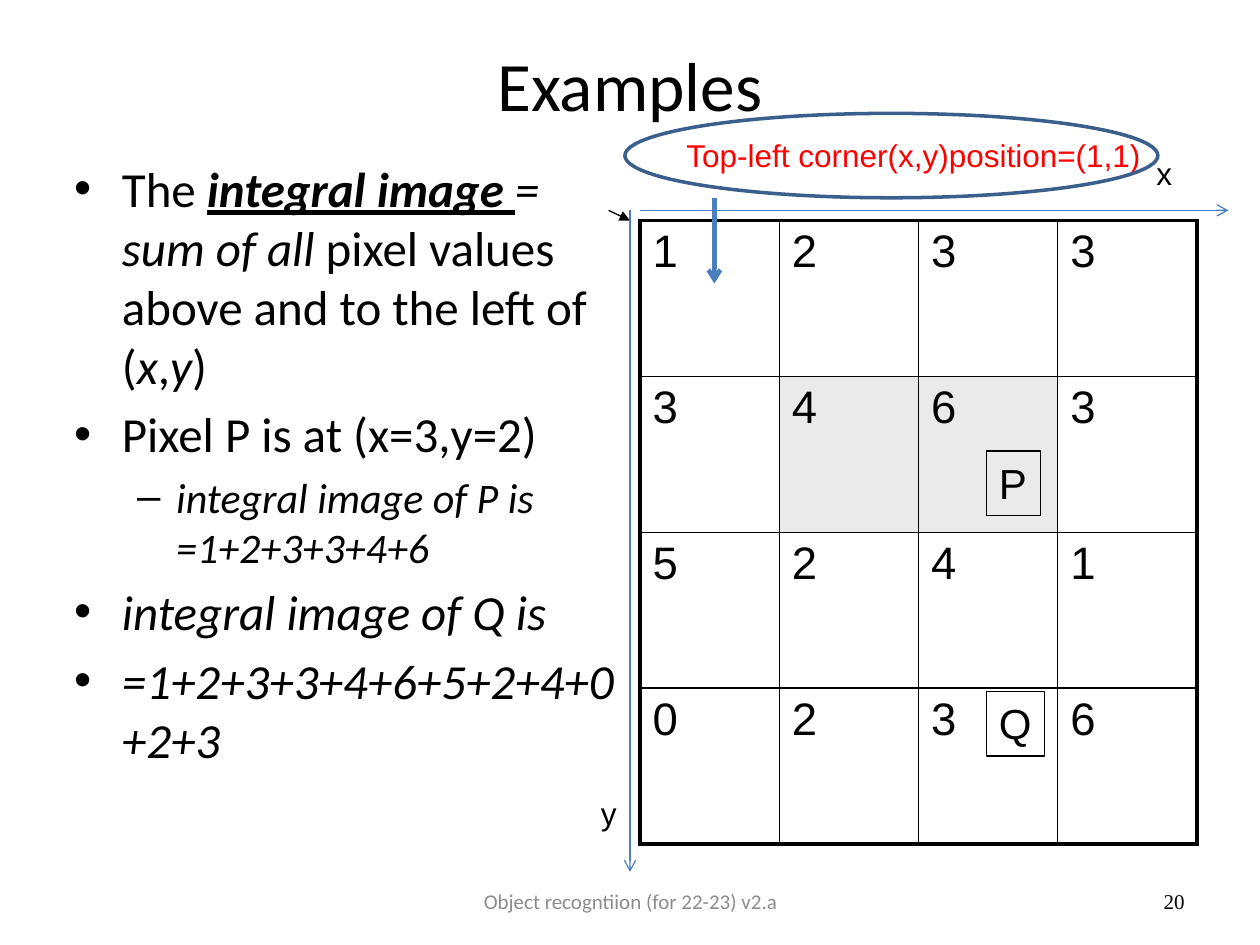
from dataclasses import dataclass, field

from pptx import Presentation
from pptx.dml.color import RGBColor
from pptx.enum.shapes import MSO_CONNECTOR, MSO_SHAPE
from pptx.enum.text import MSO_ANCHOR, PP_ALIGN
from pptx.oxml.ns import qn
from pptx.oxml.xmlchemy import OxmlElement
from pptx.util import Inches, Pt

BLACK, BLUE, GRAY = "000000", "4B7EBC", "EAEAEA"


@dataclass
class Label:
    text: str
    box: tuple
    size: float
    font: str = "Arial"
    color: str = BLACK
    align: PP_ALIGN = PP_ALIGN.LEFT
    anchor: MSO_ANCHOR = MSO_ANCHOR.TOP
    wrap: bool = False
    edge: bool = False


@dataclass
class Arrow:
    start: tuple
    end: tuple
    color: str = BLUE
    width: float = 0.75
    head: str = "arrow"


@dataclass
class Item:
    runs: list
    size: int = 28
    left: float = 0.38
    hang: float = 0.38
    mark: str = "•"
    level: int = 0


@dataclass
class Piece:
    text: str
    look: dict = field(default_factory=dict)


def rgb(code: str) -> RGBColor:
    return RGBColor.from_string(code)


def node(parent, tag: str, **attrs):
    """Append a child element with the given attributes."""
    child = OxmlElement(tag)
    for key, val in attrs.items():
        child.set(key, str(val))
    parent.append(child)
    return child


def style(run, size: float, name: str, color: str = BLACK, **look) -> None:
    for key, val in {"size": Pt(size), "name": name, **look}.items():
        setattr(run.font, key, val)
    run.font.color.rgb = rgb(color)


def add_label(slide, label: Label) -> None:
    box = slide.shapes.add_textbox(*map(Inches, label.box))
    frame = box.text_frame
    frame.word_wrap = label.wrap
    frame.vertical_anchor = label.anchor
    para = frame.paragraphs[0]
    para.alignment = label.align
    run = para.add_run()
    run.text = label.text
    style(run, label.size, label.font, label.color)
    if label.edge:
        box.line.color.rgb = rgb(BLACK)
        box.line.width = Pt(0.75)


def add_arrow(slide, arrow: Arrow) -> None:
    ends = map(Inches, arrow.start + arrow.end)
    line = slide.shapes.add_connector(MSO_CONNECTOR.STRAIGHT, *ends)
    line.line.color.rgb = rgb(arrow.color)
    line.line.width = Pt(arrow.width)
    props = line.element.spPr
    node(props.find(qn("a:ln")), "a:tailEnd", type=arrow.head)
    node(props, "a:effectLst")


def add_list(slide, box: tuple, items: list[Item]) -> None:
    frame = slide.shapes.add_textbox(*map(Inches, box)).text_frame
    frame.word_wrap = True
    for i, item in enumerate(items):
        para = frame.add_paragraph() if i else frame.paragraphs[0]
        para.level = item.level
        para.space_before = Pt(0.2 * item.size)
        props = para._p.get_or_add_pPr()
        props.set("marL", str(Inches(item.left)))
        props.set("indent", str(-Inches(item.hang)))
        node(props, "a:buFont", typeface="Arial")
        node(props, "a:buChar", char=item.mark)
        for piece in item.runs:
            run = para.add_run()
            run.text = piece.text
            style(run, item.size, "Calibri", **piece.look)


def add_edge(cell, side: str, width: float) -> None:
    line = node(cell._tc.get_or_add_tcPr(), f"a:ln{side}", w=Pt(width))
    node(node(line, "a:solidFill"), "a:srgbClr", val=BLACK)


def add_grid(slide, box: tuple, rows: list, shaded: set) -> None:
    high, wide = len(rows), len(rows[0])
    table = slide.shapes.add_table(high, wide, *map(Inches, box)).table
    table.first_row = table.horz_banding = False
    for r, row in enumerate(rows):
        for c, value in enumerate(row):
            cell = table.cell(r, c)
            outer = {"L": c == 0, "R": c == wide - 1,
                     "T": r == 0, "B": r == high - 1}
            for side, thick in outer.items():
                add_edge(cell, side, 2.25 if thick else 1)
            if (r, c) in shaded:
                cell.fill.solid()
                cell.fill.fore_color.rgb = rgb(GRAY)
            else:
                cell.fill.background()
            para = cell.text_frame.paragraphs[0]
            para.space_before = Pt(0.2 * 26)
            run = para.add_run()
            run.text = str(value)
            style(run, 26, "Arial")


ITALIC = {"italic": True}
ITEMS = [
    Item([Piece("The "),
          Piece("integral image ", {"bold": True, "italic": True, "underline": True}),
          Piece("= sum of all ", ITALIC),
          Piece("pixel values above and to the left of ("),
          Piece("x", ITALIC), Piece(","), Piece("y", ITALIC), Piece(")")]),
    Item([Piece("Pixel P is at (x=3,y=2)")]),
    Item([Piece("integral image of P is =1+2+3+3+4+6", ITALIC)],
         size=24, left=0.81, hang=0.31, mark="–", level=1),
    Item([Piece("integral image of Q is", ITALIC)]),
    Item([Piece("=1+2+3+3+4+6+5+2+4+0+2+3", ITALIC)]),
]
PIXELS = [[1, 2, 3, 3], [3, 4, 6, 3], [5, 2, 4, 1], [0, 2, 3, 6]]
MID = {"anchor": MSO_ANCHOR.MIDDLE, "wrap": True}
FRAME = [
    Label("Examples", (0.5, 0.3, 9, 0.73), 39.6, "Calibri",
          align=PP_ALIGN.CENTER, **MID),
    Label("Object recogntiion (for 22-23) v2.a", (3.42, 6.95, 3.17, 0.4), 12,
          "Calibri", "8C8C8C", PP_ALIGN.CENTER, **MID),
    Label("20", (7.17, 6.95, 2.33, 0.4), 12, "Times New Roman",
          align=PP_ALIGN.RIGHT, **MID),
]
NOTES = [
    Label("P", (7.83, 3.58, 0.43, 0.51), 24, edge=True),
    Label("Q", (7.83, 5.49, 0.46, 0.51), 24, edge=True),
    Label("Top-left corner(x,y)position=(1,1)", (5.35, 1.03, 3.84, 0.4), 18,
          color="FF0000"),
    Label("x", (9.08, 1.17, 0.33, 0.4), 18),
    Label("y", (4.67, 6.25, 0.33, 0.4), 18),
]
ARROWS = [
    Arrow((4.83, 1.67), (5, 1.75), BLACK, head="triangle"),
    Arrow((5.08, 1.67), (9.75, 1.67)),
    Arrow((5, 1.67), (5, 6.92)),
    Arrow((5.67, 1.57), (5.67, 2.25), width=2.5),
]


def main() -> None:
    deck = Presentation()
    deck.slide_width, deck.slide_height = Inches(10), Inches(7.5)
    slide = deck.slides.add_slide(deck.slide_layouts[6])

    # Title, footer and bullet list
    for label in FRAME:
        add_label(slide, label)
    add_list(slide, (0.49, 1.21, 4.5, 4.95), ITEMS)

    # Pixel grid with its labels
    add_grid(slide, (5.08, 1.75, 4.42, 4.95), PIXELS, {(1, 1), (1, 2)})
    for label in NOTES:
        add_label(slide, label)

    # Ring around the corner note
    ring = slide.shapes.add_shape(
        MSO_SHAPE.OVAL, *map(Inches, (4.96, 0.9, 4.23, 0.67)))
    ring.shadow.inherit = False
    ring.fill.background()
    ring.line.color.rgb = rgb("3A5F8C")
    ring.line.width = Pt(2)

    # Axes and pointers
    for arrow in ARROWS:
        add_arrow(slide, arrow)
    deck.save("out.pptx")


if __name__ == "__main__":
    main()
